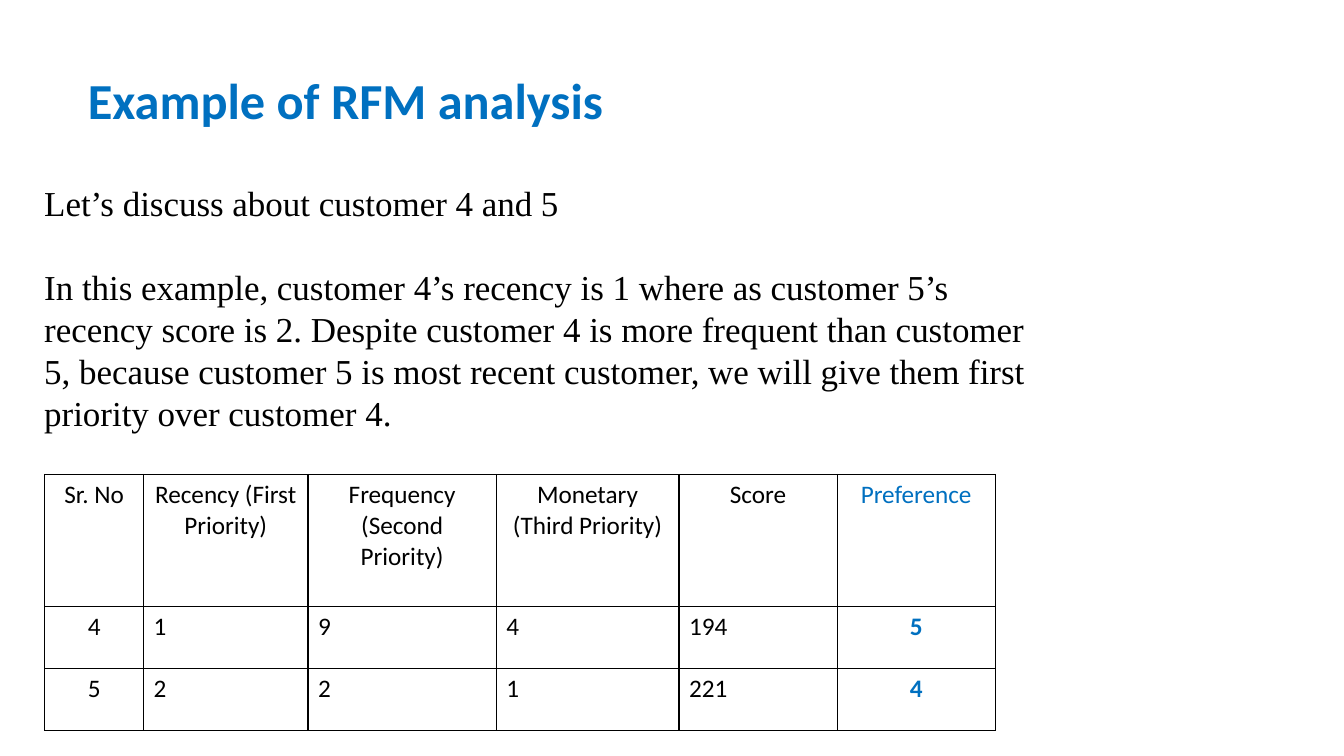
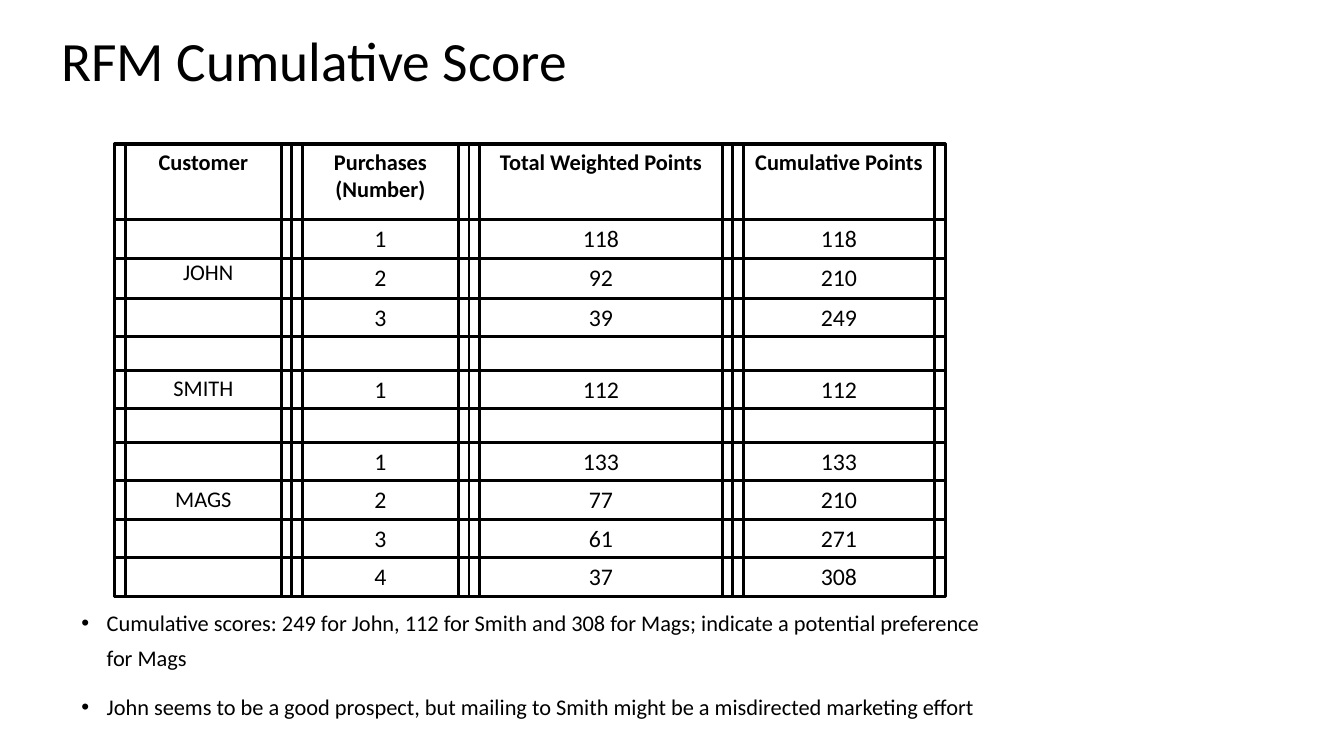
"""Builds two slides on RFM scores."""
from dataclasses import dataclass
from itertools import accumulate
from typing import NamedTuple

from lxml.etree import SubElement
from pptx import Presentation
from pptx.dml.color import RGBColor
from pptx.enum.shapes import MSO_SHAPE
from pptx.enum.text import MSO_ANCHOR, MSO_AUTO_SIZE, PP_ALIGN
from pptx.oxml.ns import qn
from pptx.util import Pt

BLACK, BLUE = "000000", "0070C0"
LEFT, MID = PP_ALIGN.LEFT, PP_ALIGN.CENTER


class Box(NamedTuple):
    """Place and size in points."""
    left: float
    top: float
    width: float
    height: float


@dataclass(frozen=True)
class Style:
    """Look of a run and its paragraph."""
    size: float
    color: str = BLACK
    bold: bool = False
    font: str = "Calibri"
    align: PP_ALIGN = LEFT


class Row(NamedTuple):
    """One row of the score grid."""
    height: float
    texts: tuple = ("", "", "", "")
    pads: tuple = (6, 3, 6, 3)


PROSE = Style(25, font="Times New Roman")
LIST = Style(16)
HEAD = Style(16, bold=True, align=MID)
NAME = Style(16, align=MID)
POINT = Style(17, align=MID)

INTRO = (
    "Let’s discuss about customer 4 and 5",
    "In this example, customer 4’s recency is 1 where as customer 5’s recency score is 2. "
    "Despite customer 4 is more frequent than customer 5, because customer 5 is most recent "
    "customer, we will give them first priority over customer 4.",
)
RANKS = (
    ("Sr. No", "Recency (First Priority)", "Frequency\n(Second Priority)",
     "Monetary\n(Third Priority)", "Score", "Preference"),
    ("4", "1", "9", "4", "194", "5"),
    ("5", "2", "2", "1", "221", "4"),
)
RANK_COLS = (70.5, 117.5, 134.5, 130.5, 113, 113)
RANK_ROWS = (94, 44.5, 44.5)

GRID_X, GRID_Y, INSET = 82, 103, 7.5
GRID_COLS = (126.5, 126.5, 188.5, 151.5)
GRID = (
    Row(54, ("Customer", "Purchases (Number)", "Total Weighted Points", "Cumulative Points")),
    Row(27.5, ("", "1", "118", "118")),
    Row(28.5, ("JOHN", "2", "92", "210"), (7, 0, 0, 0)),
    Row(27.5, ("", "3", "39", "249")),
    Row(24),
    Row(27.5, ("SMITH", "1", "112", "112")),
    Row(24),
    Row(27.5, ("", "1", "133", "133")),
    Row(27.5, ("MAGS", "2", "77", "210")),
    Row(27.5, ("", "3", "61", "271")),
    Row(27.5, ("", "4", "37", "308")),
)
NOTES = (
    "Cumulative scores: 249 for John, 112 for Smith and 308 for Mags; "
    "indicate a potential preference for Mags",
    "John seems to be a good prospect, but mailing to Smith might be "
    "a misdirected marketing effort",
)


def paint(color: str) -> RGBColor:
    """Turn a hex string into a colour."""
    return RGBColor.from_string(color)


def place(shape, box: Box) -> None:
    """Move and size a shape."""
    shape.left, shape.top, shape.width, shape.height = map(Pt, box)


def write(frame, lines, style: Style, lead=None, gap: float = 0, dots: bool = False) -> None:
    """Write paragraphs, with bullets if asked."""
    frame.word_wrap = True
    for num, line in enumerate(lines):
        para = frame.paragraphs[0] if num == 0 else frame.add_paragraph()
        para.alignment = style.align
        para.space_before = Pt(gap if num else 0)
        if lead:
            para.line_spacing = lead
        if dots:
            props = para._p.get_or_add_pPr()
            props.set("marL", str(Pt(18)))
            props.set("indent", str(-Pt(18)))
            SubElement(props, qn("a:buFont"), typeface="Arial")
            SubElement(props, qn("a:buChar"), char="•")
        run = para.add_run()
        run.text = line
        font = run.font
        font.size, font.bold, font.name = Pt(style.size), style.bold, style.font
        font.color.rgb = paint(style.color)


def title(slide, text: str, box: Box, style: Style) -> None:
    """Fill the title placeholder."""
    shape = slide.shapes.title
    place(shape, box)
    frame = shape.text_frame
    frame.auto_size = MSO_AUTO_SIZE.NONE
    frame.vertical_anchor = MSO_ANCHOR.MIDDLE
    write(frame, [text], style, lead=0.9)


def border(cell) -> None:
    """Draw a thin line on all sides of a cell."""
    props = cell._tc.get_or_add_tcPr()
    for side in ("lnL", "lnR", "lnT", "lnB"):
        line = SubElement(props, qn(f"a:{side}"), w=str(Pt(1)))
        fill = SubElement(line, qn("a:solidFill"))
        SubElement(fill, qn("a:srgbClr"), val=BLACK)
    cell.fill.background()


def ranks(slide) -> None:
    """Add the table of preferences."""
    box = Box(32, 339, sum(RANK_COLS), sum(RANK_ROWS))
    table = slide.shapes.add_table(len(RANKS), len(RANK_COLS), *map(Pt, box)).table
    table.first_row = table.horz_banding = False
    for col, width in zip(table.columns, RANK_COLS):
        col.width = Pt(width)
    last = len(RANK_COLS) - 1
    for y, texts in enumerate(RANKS):
        table.rows[y].height = Pt(RANK_ROWS[y])
        for x, text in enumerate(texts):
            cell = table.cell(y, x)
            border(cell)
            end = x == last
            style = Style(18, BLUE if end else BLACK, end and y > 0,
                          align=MID if y == 0 or x in (0, last) else LEFT)
            write(cell.text_frame, text.split("\n"), style)


def frame(slide, box: Box):
    """Add an outlined rectangle without fill."""
    shape = slide.shapes.add_shape(MSO_SHAPE.RECTANGLE, *map(Pt, box))
    shape.shadow.inherit = False
    shape.fill.background()
    shape.line.color.rgb = paint(BLACK)
    shape.line.width = Pt(2)
    return shape


def label(shape, text: str, style: Style, pads: tuple) -> None:
    """Write a label at the top of a rectangle."""
    body = shape.text_frame
    body.margin_left, body.margin_top, body.margin_right, body.margin_bottom = map(Pt, pads)
    body.vertical_anchor = MSO_ANCHOR.TOP
    write(body, [text], style)


def grid(slide) -> None:
    """Draw the score grid with its double side lines."""
    lefts = list(accumulate(GRID_COLS, initial=GRID_X))
    tops = list(accumulate((row.height for row in GRID), initial=GRID_Y))
    for y, (row, top) in enumerate(zip(GRID, tops)):
        for x, (text, left, width) in enumerate(zip(row.texts, lefts, GRID_COLS)):
            inner = frame(slide, Box(left + INSET, top, width - 2 * INSET, row.height))
            frame(slide, Box(left, top, width, row.height))
            if text:
                style = HEAD if y == 0 else POINT if x else NAME
                label(inner, text, style, Row(0).pads if x else row.pads)
    frame(slide, Box(GRID_X - 0.5, GRID_Y - 0.5, lefts[-1] - GRID_X + 1, tops[-1] - GRID_Y + 0.5))


def sample(deck) -> None:
    """Build the slide with the example."""
    slide = deck.slides.add_slide(deck.slide_layouts[5])
    title(slide, "Example of RFM analysis", Box(55.5, 46, 648, 55.5), Style(36, BLUE, True))
    prose = slide.shapes.add_textbox(*map(Pt, Box(24.5, 126, 732, 189.5)))
    write(prose.text_frame, INTRO, PROSE, lead=Pt(30), gap=30)
    ranks(slide)


def scores(deck) -> None:
    """Build the slide with the score grid."""
    slide = deck.slides.add_slide(deck.slide_layouts[1])
    title(slide, "RFM Cumulative Score", Box(36.5, 29, 828, 33), Style(39.6))
    grid(slide)
    notes = slide.placeholders[1]
    place(notes, Box(51, 426, 678, 111))
    notes.text_frame.auto_size = MSO_AUTO_SIZE.NONE
    write(notes.text_frame, NOTES, LIST, lead=1.3, gap=10, dots=True)


def main() -> None:
    """Build and save the deck."""
    deck = Presentation()
    deck.slide_width, deck.slide_height = Pt(960), Pt(540)
    sample(deck)
    scores(deck)
    deck.save("out.pptx")


if __name__ == "__main__":
    main()
